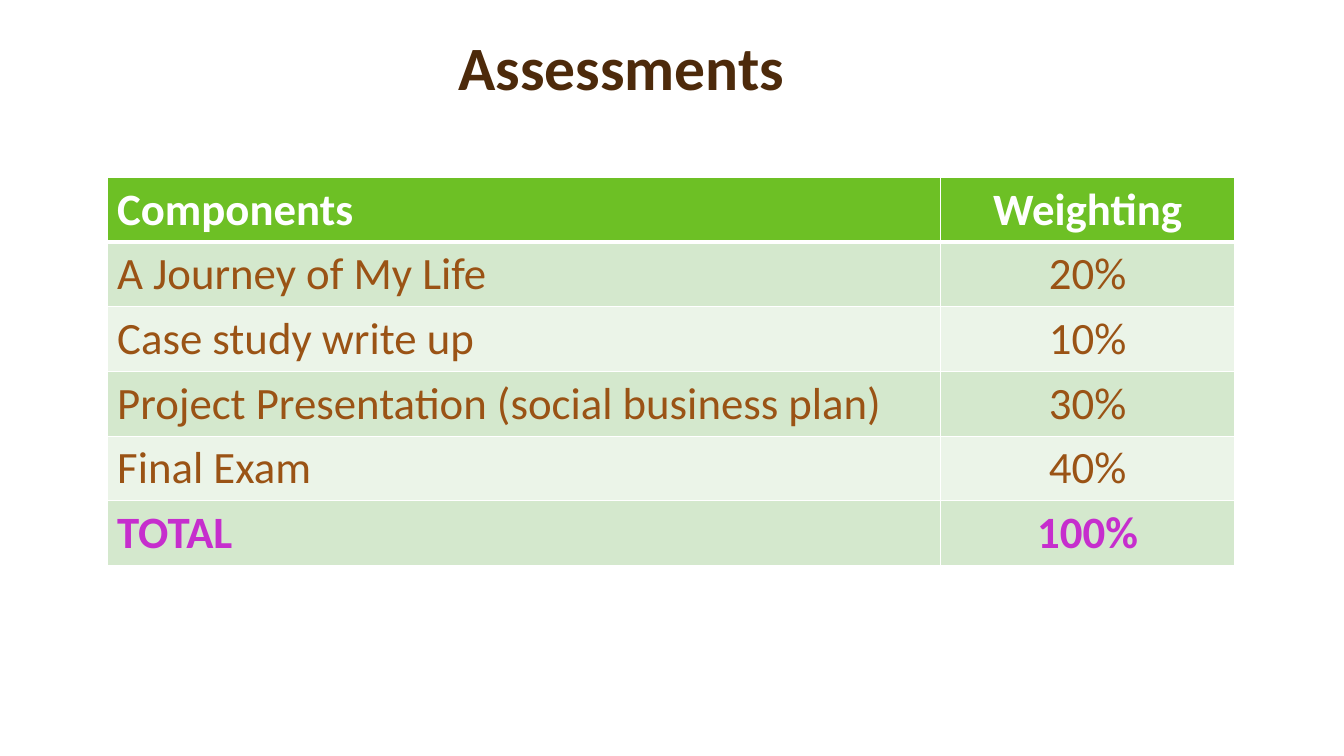
from lxml.etree import SubElement
from pptx import Presentation
from pptx.dml.color import RGBColor
from pptx.enum.text import MSO_ANCHOR as Anchor, PP_ALIGN as Align
from pptx.oxml.ns import qn
from pptx.util import Cm, Pt

FONT = "Calibri"
WHITE, GREEN, PALE, PALER = "FFFFFF", "6DC025", "D4E8CD", "EBF4E8"
DARK_BROWN, BROWN, PURPLE = "4D2A0B", "9A5315", "C62ECD"

ROWS = [
    ("Components", "Weighting"),
    ("A Journey of My Life", "20%"),
    ("Case study write up", "10%"),
    ("Project Presentation (social business plan)", "30%"),
    ("Final Exam", "40%"),
    ("TOTAL", "100%"),
]


def rgb(value):
    return RGBColor.from_string(value)


def write(tf, text, size, color, bold, align):
    tf.text = text
    p = tf.paragraphs[0]
    p.alignment = align
    font = p.runs[0].font
    font.name, font.size, font.bold = FONT, Pt(size), bold
    font.color.rgb = rgb(color)
    return p


def set_borders(cell, widths):
    """Draw white cell edges; widths maps an edge letter to points."""
    tc_pr = cell._tc.get_or_add_tcPr()
    for i, (edge, width) in enumerate(widths.items()):
        ln = SubElement(tc_pr, qn(f"a:ln{edge}"), w=str(Pt(width)))
        fill = SubElement(ln, qn("a:solidFill"))
        SubElement(fill, qn("a:srgbClr"), val=WHITE)
        tc_pr.insert(i, ln)  # edges precede the cell fill


def add_title(s, text, left, top, width, height):
    tf = s.shapes.add_textbox(left, top, width, height).text_frame
    tf.word_wrap = True
    tf.vertical_anchor = Anchor.BOTTOM
    write(tf, text, 44, DARK_BROWN, True, Align.CENTER).line_spacing = 0.9


def add_weighting_table(s, left, top, width, height):
    table = s.shapes.add_table(len(ROWS), 2, left, top, width, height).table
    table.columns[0].width = Cm(21)
    table.columns[1].width = width - Cm(21)
    last = len(ROWS) - 1
    for r, row in enumerate(ROWS):
        if r == 0:
            fill, color = GREEN, WHITE
        else:
            fill = PALE if r % 2 else PALER
            color = PURPLE if r == last else BROWN
        for c, text in enumerate(row):
            cell = table.cell(r, c)
            cell.fill.solid()
            cell.fill.fore_color.rgb = rgb(fill)
            cell.vertical_anchor = Anchor.MIDDLE
            write(cell.text_frame, text, 32, color, r in (0, last),
                  Align.CENTER if c else Align.LEFT)
            set_borders(cell, {"L": 1, "R": 1, "T": 3 if r == 1 else 1,
                               "B": 3 if r == 0 else 1})


def main():
    prs = Presentation()
    prs.slide_width, prs.slide_height = Cm(33.87), Cm(19.05)
    s = prs.slides.add_slide(prs.slide_layouts[6])
    add_title(s, "Assessments", Cm(1.7), Cm(0.81), Cm(27.94), Cm(1.93))
    add_weighting_table(s, Cm(2.7), Cm(4.47), Cm(28.42), Cm(9.78))
    prs.save("out.pptx")


if __name__ == "__main__":
    main()
